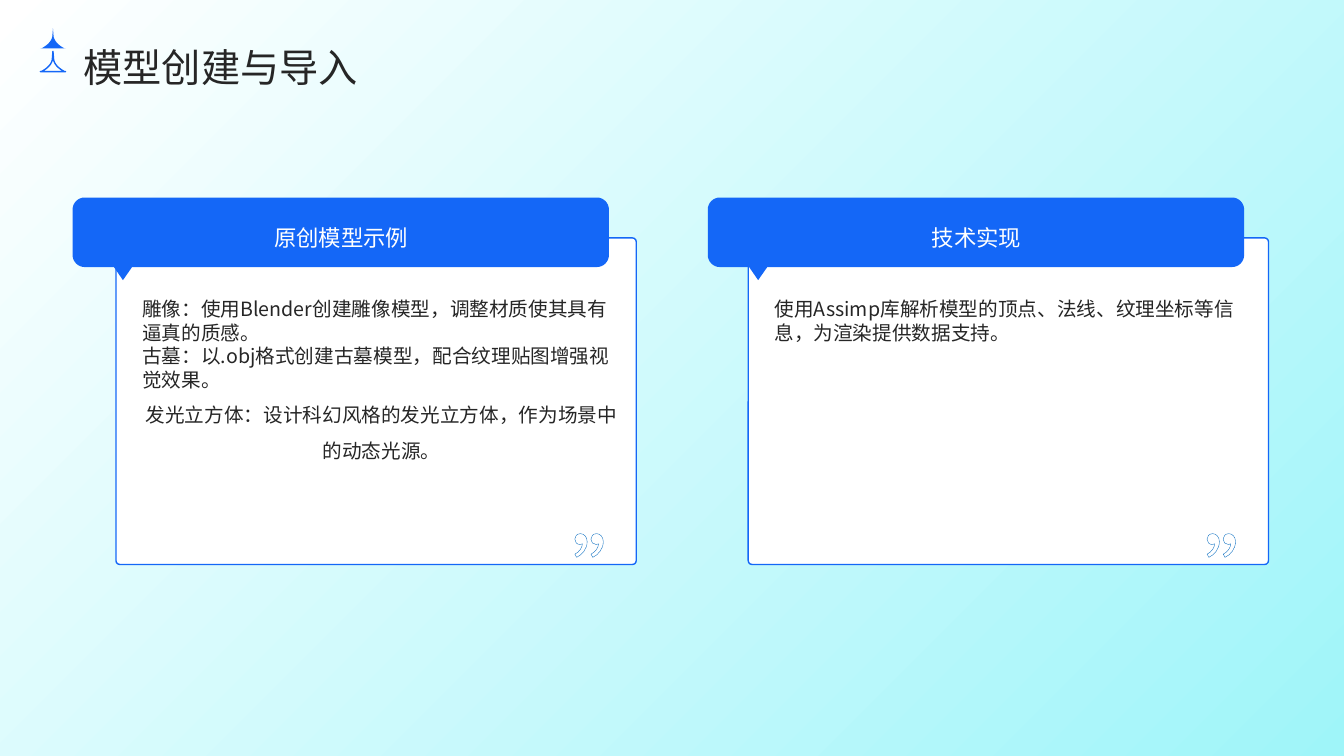
from dataclasses import dataclass

from lxml import etree
from pptx import Presentation
from pptx.dml.color import RGBColor
from pptx.enum.shapes import MSO_SHAPE
from pptx.enum.text import MSO_ANCHOR, PP_ALIGN
from pptx.oxml.ns import qn
from pptx.util import Inches, Pt

RECTANGLE = MSO_SHAPE.RECTANGLE
ROUNDED = MSO_SHAPE.ROUNDED_RECTANGLE
LEFT, CENTER = PP_ALIGN.LEFT, PP_ALIGN.CENTER
TOP, MIDDLE = MSO_ANCHOR.TOP, MSO_ANCHOR.MIDDLE


@dataclass(frozen=True)
class Theme:
    """Colours, font, type sizes and line heights of the slide."""
    font: str = "Noto Sans CJK SC"
    blue: str = "1467F7"
    aqua: str = "9FF5F9"
    white: str = "FFFFFF"
    ink: str = "262626"
    quote_edge: str = "0068BF"
    title: tuple = (28, 46)
    header: tuple = (16, 27)
    tight_body: tuple = (14, 16.8)
    loose_body: tuple = (14, 25.2)
    quote: tuple = (60, 96)


class SlidePainter:
    """Draws styled elements placed in percent of the slide's width and height."""

    def __init__(self, presentation, theme):
        self.theme = theme
        self.width = presentation.slide_width
        self.height = presentation.slide_height
        self.slide = presentation.slides.add_slide(presentation.slide_layouts[6])

    def across(self, share):
        return round(self.width * share / 100)

    def down(self, share):
        return round(self.height * share / 100)

    def place(self, left, top, width, height):
        return self.across(left), self.down(top), self.across(width), self.down(height)

    def paint(self, shape, fill=None, line=None):
        shape.shadow.inherit = False
        if fill:
            shape.fill.solid()
            shape.fill.fore_color.rgb = RGBColor.from_string(fill)
        else:
            shape.fill.background()
        if line:
            shape.line.color.rgb = RGBColor.from_string(line)
            shape.line.width = Pt(1)
        else:
            shape.line.fill.background()

    def backdrop(self):
        shape = self.slide.shapes.add_shape(RECTANGLE, *self.place(0, 0, 100, 100))
        self.paint(shape)
        shape.fill.gradient()
        shape.fill.gradient_angle = 315
        colours = (self.theme.white, self.theme.aqua)
        for position, (stop, colour) in enumerate(zip(shape.fill.gradient_stops, colours)):
            stop.position = position
            stop.color.rgb = RGBColor.from_string(colour)

    def panel(self, *box):
        shape = self.slide.shapes.add_shape(ROUNDED, *self.place(*box))
        shape.adjustments[0] = 0.012
        self.paint(shape, self.theme.white, self.theme.blue)

    def outline(self, left, top, steps, fill=None, line=None):
        points = []
        for step in steps:
            if len(step) == 2:
                points.append(step)
                continue
            corners = (points[-1], step[:2], step[2:4], step[4:])
            for count in range(1, 9):
                t = count / 8
                weights = ((1 - t) ** 3, 3 * t * (1 - t) ** 2, 3 * t * t * (1 - t), t ** 3)
                points.append(tuple(
                    sum(weight * corner[axis] for weight, corner in zip(weights, corners))
                    for axis in (0, 1)))
        spots = [(self.across(left + x), self.down(top + y)) for x, y in points]
        builder = self.slide.shapes.build_freeform(*spots[0])
        builder.add_line_segments(spots[1:], close=True)
        self.paint(builder.convert_to_shape(), fill, line)

    def text(self, box, lines, colour, anchor=TOP, edge=None):
        frame = self.slide.shapes.add_textbox(*self.place(*box)).text_frame
        frame.word_wrap = True
        frame.vertical_anchor = anchor
        frame.margin_left = frame.margin_right = 0
        frame.margin_top = frame.margin_bottom = 0
        for index, (words, (size, line_height), alignment) in enumerate(lines):
            paragraph = frame.add_paragraph() if index else frame.paragraphs[0]
            paragraph.alignment = alignment
            paragraph.line_spacing = Pt(line_height)
            run = paragraph.add_run()
            run.text = words
            run.font.name = self.theme.font
            run.font.size = Pt(size)
            run.font.color.rgb = RGBColor.from_string(colour)
            properties = run.font._element
            properties.set("lang", "zh-CN")
            east_asian = etree.SubElement(properties, qn("a:ea"))
            east_asian.set("typeface", self.theme.font)
            if edge:
                border = etree.Element(qn("a:ln"), w=str(Pt(1)))
                solid = etree.SubElement(border, qn("a:solidFill"))
                etree.SubElement(solid, qn("a:srgbClr"), val=edge)
                properties.insert(0, border)

    def callout(self, left, top, words):
        width, height, rx, ry = 39.91, 9.2, 0.9, 1.6
        kx, ky = rx * 0.45, ry * 0.45
        steps = [
            (rx, 0), (width - rx, 0),
            (width - kx, 0, width, ky, width, ry),
            (width, height - ry),
            (width, height - ky, width - kx, height, width - rx, height),
            (4.43, height), (3.75, 10.93), (3.08, height), (rx, height),
            (kx, height, 0, height - ky, 0, height - ry),
            (0, ry), (0, ky, kx, 0, rx, 0),
        ]
        self.outline(left, top, steps, fill=self.theme.blue)
        self.text((left + 1.5, top, 36.98, height),
                  [(words, self.theme.header, CENTER)], self.theme.white, MIDDLE)

    def card(self, left, top, lines):
        self.panel(left, top, 38.71, 43.2)
        self.text((left + 1.95, top + 7.86, 35.63, 32.67), lines, self.theme.ink)
        self.text((left + 33.91, top + 32.93, 5.4, 7.73),
                  [("”", self.theme.quote, CENTER)], self.theme.white,
                  edge=self.theme.quote_edge)

    def spire(self, top, **style):
        steps = [(1.88, 2.67), (0, 2.67), (0.08, 2.67),
                 (0.53, 2.27, 0.9, 1.6, 0.9, 0.93), (0.94, 0), (0.98, 0.93),
                 (0.98, 1.6, 1.35, 2.27, 1.8, 2.67)]
        self.outline(3, top, steps, **style)


def main():
    presentation = Presentation()
    presentation.slide_width = Inches(13.33)
    presentation.slide_height = Inches(7.5)
    theme = Theme()
    painter = SlidePainter(presentation, theme)
    topics = [
        ("原创模型示例", [
            ("雕像：使用Blender创建雕像模型，调整材质使其具有逼真的质感。", theme.tight_body, LEFT),
            ("古墓：以.obj格式创建古墓模型，配合纹理贴图增强视觉效果。", theme.tight_body, LEFT),
            ("发光立方体：设计科幻风格的发光立方体，作为场景中的动态光源。", theme.loose_body, CENTER),
        ]),
        ("技术实现", [
            ("使用Assimp库解析模型的顶点、法线、纹理坐标等信息，为渲染提供数据支持。",
             theme.tight_body, LEFT),
        ]),
    ]
    painter.backdrop()
    for column, (heading, lines) in enumerate(topics):
        painter.card(8.63 + 47.04 * column, 31.47, lines)
        painter.callout(5.4 + 47.26 * column, 26.13, heading)
    painter.text((6.23, 3.47, 85.15, 7.87),
                 [("模型创建与导入", theme.title, LEFT)], theme.ink)
    painter.spire(3.73, fill=theme.blue)
    painter.spire(6.8, line=theme.blue)
    presentation.save("out.pptx")


if __name__ == "__main__":
    main()
